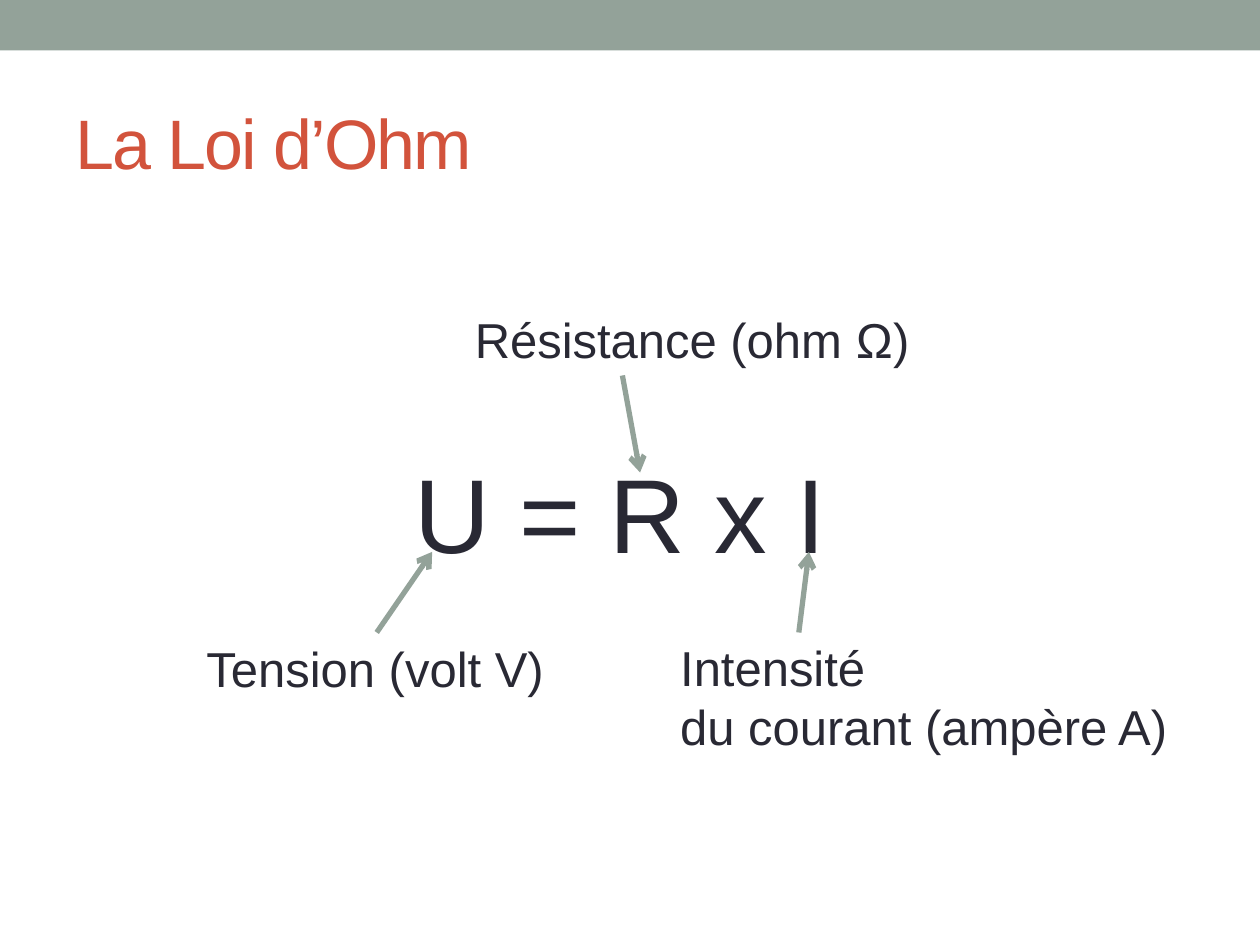
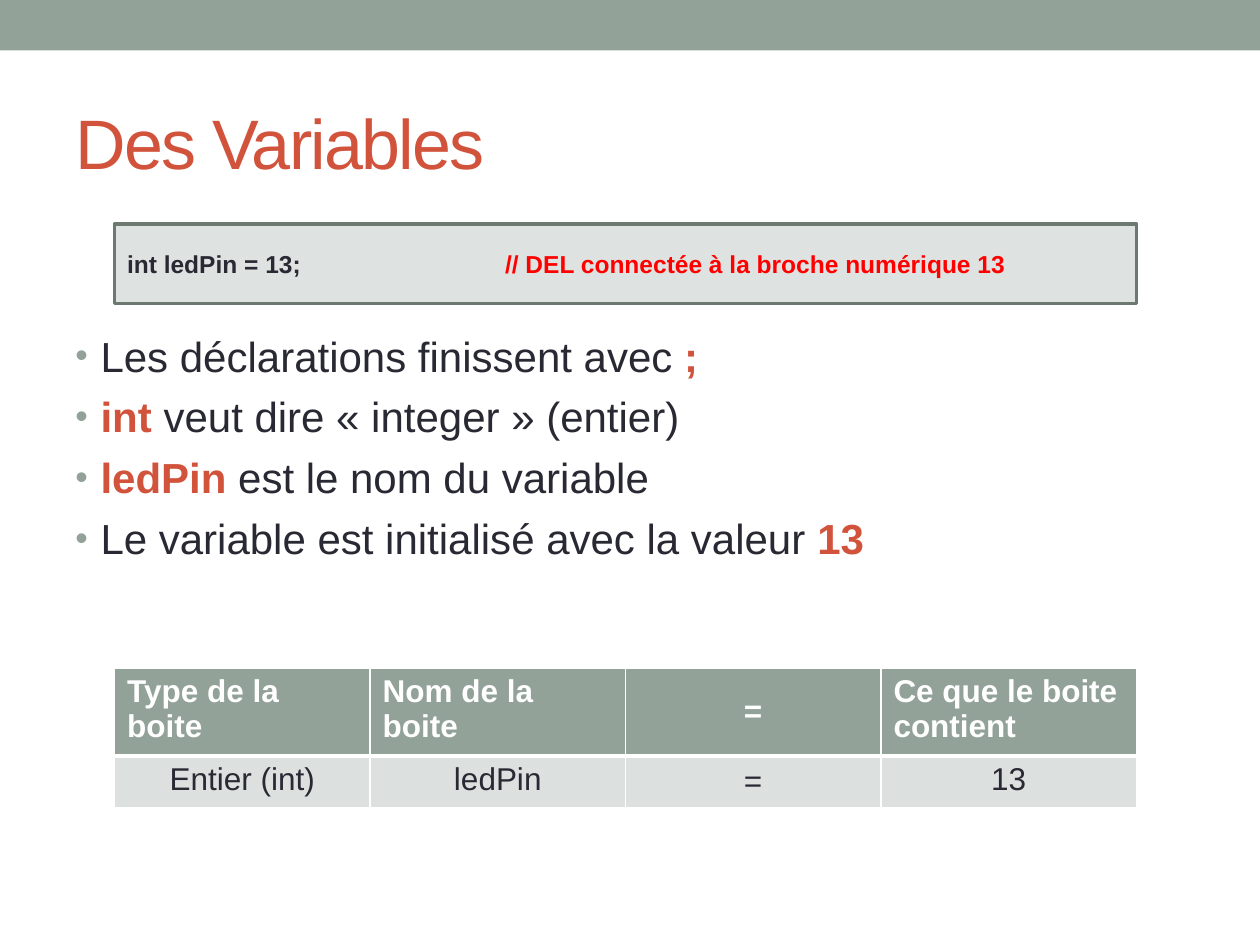
from dataclasses import dataclass

from lxml import etree
from pptx import Presentation
from pptx.dml.color import RGBColor
from pptx.enum.shapes import MSO_CONNECTOR, MSO_SHAPE
from pptx.enum.text import MSO_ANCHOR, PP_ALIGN
from pptx.oxml.ns import qn
from pptx.util import Inches, Pt


@dataclass(frozen=True)
class Theme:
    font: str = "Arial"
    sage: str = "93A299"
    sage_dark: str = "6D7871"
    sage_pale: str = "DCE0DE"
    accent: str = "D2533C"
    ink: str = "292934"
    white: str = "FFFFFF"
    comment: str = "FF0000"
    title: int = 40
    formula: int = 60
    label: int = 28
    body: int = 24
    table: int = 18
    code: int = 14


THEME = Theme()


def rgb(value):
    return RGBColor.from_string(value)


def inches(box):
    return [Inches(v) for v in box]


def add_xml(parent, tag, **attributes):
    return etree.SubElement(parent, qn(tag), attributes)


def add_run(paragraph, text, size, color=THEME.ink, bold=False):
    run = paragraph.add_run()
    run.text = text
    run.font.name = THEME.font
    run.font.size = Pt(size)
    run.font.bold = bold
    run.font.color.rgb = rgb(color)
    return run


def add_text(slide, box, lines, size, color=THEME.ink, wrap=False):
    frame = slide.shapes.add_textbox(*inches(box)).text_frame
    frame.word_wrap = wrap
    for i, line in enumerate(lines):
        paragraph = frame.add_paragraph() if i else frame.paragraphs[0]
        add_run(paragraph, line, size, color)
    return frame


def style_shape(shape, fill):
    shape.shadow.inherit = False
    shape.fill.solid()
    shape.fill.fore_color.rgb = rgb(fill)


def add_titled_slide(prs, title):
    slide = prs.slides.add_slide(prs.slide_layouts[6])
    band = slide.shapes.add_shape(MSO_SHAPE.RECTANGLE, *inches((0, 0, 10, 0.4)))
    style_shape(band, THEME.sage)
    band.line.fill.background()
    frame = add_text(slide, (0.5, 0.58, 9, 1.08), [title], THEME.title, THEME.accent, wrap=True)
    frame.vertical_anchor = MSO_ANCHOR.MIDDLE
    frame.paragraphs[0].runs[0].font._element.set("spc", "-100")
    return slide


def add_arrow(slide, start, end):
    arrow = slide.shapes.add_connector(MSO_CONNECTOR.STRAIGHT, *inches(start + end))
    arrow.line.color.rgb = rgb(THEME.sage)
    arrow.line.width = Pt(3)
    add_xml(arrow.line._get_or_add_ln(), "a:tailEnd", type="arrow")
    add_xml(arrow._element.spPr, "a:effectLst")


def add_formula(slide, box, formula, labels):
    add_text(slide, box, [formula], THEME.formula)
    for lines, label_box, start, end in labels:
        add_text(slide, label_box, lines, THEME.label)
        add_arrow(slide, start, end)


def add_code_box(slide, box, code, comment):
    shape = slide.shapes.add_shape(MSO_SHAPE.RECTANGLE, *inches(box))
    style_shape(shape, THEME.sage)
    fill_color = shape._element.spPr.find(qn("a:solidFill"))[0]
    add_xml(fill_color, "a:alpha", val="30000")
    shape.line.color.rgb = rgb(THEME.sage_dark)
    shape.line.width = Pt(2.08)
    frame = shape.text_frame
    frame.word_wrap = True
    frame.vertical_anchor = MSO_ANCHOR.MIDDLE
    paragraph = frame.paragraphs[0]
    paragraph.alignment = PP_ALIGN.LEFT
    tabs = add_xml(paragraph._p.get_or_add_pPr(), "a:tabLst")
    add_xml(tabs, "a:tab", pos=str(Inches(3)), algn="l")
    add_run(paragraph, code + "\t", THEME.code, bold=True)
    add_run(paragraph, comment, THEME.code, THEME.comment, bold=True)


def add_bullets(slide, box, items):
    frame = slide.shapes.add_textbox(*inches(box)).text_frame
    frame.word_wrap = True
    for i, parts in enumerate(items):
        paragraph = frame.add_paragraph() if i else frame.paragraphs[0]
        paragraph.space_before = Pt(6)
        props = paragraph._p.get_or_add_pPr()
        props.set("marL", str(Inches(0.2)))
        props.set("indent", str(-Inches(0.2)))
        add_xml(add_xml(props, "a:buClr"), "a:srgbClr", val=THEME.sage)
        add_xml(props, "a:buSzPct", val="85000")
        add_xml(props, "a:buFont", typeface=THEME.font)
        add_xml(props, "a:buChar", char="•")
        for text, is_key in parts:
            add_run(paragraph, text, THEME.body, THEME.accent if is_key else THEME.ink, is_key)


def set_borders(cell, bottom):
    props = cell._tc.get_or_add_tcPr()
    for tag, width in (("a:lnL", 1), ("a:lnR", 1), ("a:lnT", 1), ("a:lnB", bottom)):
        line = add_xml(props, tag, w=str(Pt(width)))
        add_xml(add_xml(line, "a:solidFill"), "a:srgbClr", val=THEME.white)


def add_variable_table(slide, box, rows, heights):
    table = slide.shapes.add_table(len(rows), len(rows[0]), *inches(box)).table
    for r, (row, height) in enumerate(zip(rows, heights)):
        header = r == 0
        table.rows[r].height = Inches(height)
        for c, text in enumerate(row):
            cell = table.cell(r, c)
            set_borders(cell, 3 if header else 1)
            cell.fill.solid()
            cell.fill.fore_color.rgb = rgb(THEME.sage if header else THEME.sage_pale)
            paragraph = cell.text_frame.paragraphs[0]
            if text == "=":
                cell.vertical_anchor = MSO_ANCHOR.MIDDLE
            if text == "=" or not header:
                paragraph.alignment = PP_ALIGN.CENTER
            add_run(paragraph, text, THEME.table, THEME.white if header else THEME.ink, header)


def build_ohm_slide(prs):
    slide = add_titled_slide(prs, "La Loi d’Ohm")
    add_formula(slide, (3.19, 3.51, 3.5, 1.11), "U = R x I", [
        (["Tension (volt V)"], (1.54, 5.02, 2.91, 0.57), (2.99, 5.02), (3.43, 4.38)),
        (["Résistance (ohm \u2126)"], (3.67, 2.41, 3.7, 0.57), (4.94, 2.98), (5.08, 3.75)),
        (["Intensité", "du courant (ampère A)"], (5.3, 5.01, 4.12, 1.04), (6.34, 5.02), (6.42, 4.38)),
    ])


def build_variables_slide(prs):
    slide = add_titled_slide(prs, "Des Variables")
    add_bullets(slide, (0.5, 2.57, 9, 4.51), [
        [("Les déclarations finissent avec ", False), (";", True)],
        [("int ", True), ("veut dire «\u00a0integer\u00a0» (entier)", False)],
        [("ledPin", True), (" est le nom du variable", False)],
        [("Le variable est initialisé avec la valeur ", False), ("13", True)],
    ])
    add_code_box(slide, (0.91, 1.78, 8.11, 0.63), "int ledPin = 13; ",
                 "// DEL connectée à la broche numérique 13")
    add_variable_table(slide, (0.91, 5.3, 8.11, 1.06), [
        ["Type de la boite", "Nom de la boite", "=", "Ce que le boite contient"],
        ["Entier (int)", "ledPin", "=", "13"],
    ], (0.65, 0.41))


prs = Presentation()
prs.slide_width, prs.slide_height = Inches(10), Inches(7.5)
build_ohm_slide(prs)
build_variables_slide(prs)
prs.save("out.pptx")
